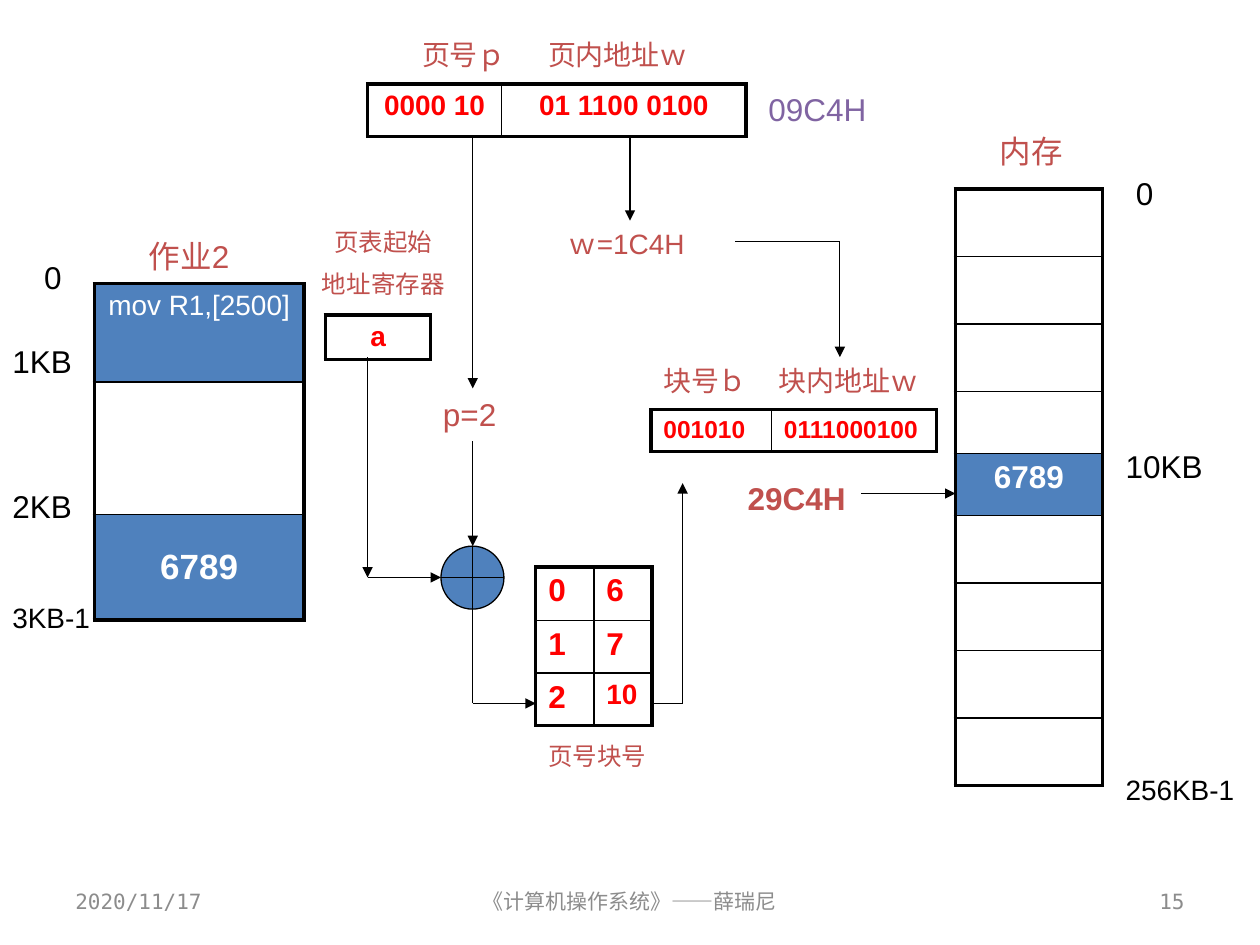
"""Build the slide on translating a paged logical address into a memory address."""
from itertools import pairwise
from typing import NamedTuple

from lxml.etree import SubElement
from pptx import Presentation
from pptx.dml.color import RGBColor
from pptx.enum.shapes import MSO_CONNECTOR as Connector, MSO_SHAPE as Preset
from pptx.enum.text import MSO_ANCHOR as Anchor, MSO_AUTO_SIZE as AutoSize, PP_ALIGN as Align
from pptx.oxml.ns import qn
from pptx.util import Cm, Pt

COLORS = {
    "black": "000000",
    "white": "FFFFFF",
    "red": "FF0000",
    "brick": "C0504D",
    "purple": "8064A2",
    "blue": "4F81BD",
    "gray": "8C8C8C",
}
OUTER, INNER, THIN = 2.25, 1, 0.75


class Cell(NamedTuple):
    text: str = ""
    size: int = 18
    color: str = "red"
    bold: bool = True
    align: Align = Align.CENTER
    fill: str = ""
    anchor: Anchor = Anchor.TOP


class Grid(NamedTuple):
    left: float
    top: float
    widths: list[float]
    heights: list[float]
    rows: list[list[Cell]]


class Label(NamedTuple):
    left: float
    top: float
    width: float
    height: float
    lines: list[str]
    size: int = 18
    color: str = "brick"
    bold: bool = False
    align: Align = Align.LEFT
    wrap: bool = True


class Footer(NamedTuple):
    left: float
    width: float
    text: str
    align: Align


class Route(NamedTuple):
    points: list[tuple[float, float]]
    arrow: bool = True


def left_cell(text: str, size: int = 18) -> Cell:
    """Return a left-aligned red cell."""
    return Cell(text, size, align=Align.LEFT)


GRIDS = [
    Grid(7.41, 1.69, [2.7, 4.93], [1.06], [[Cell("0000 10", 16), Cell("01 1100 0100", 16)]]),
    Grid(1.9, 5.72, [4.23], [1.98, 2.67, 2.13], [
        [Cell("mov R1,[2500]", 16, "white", False, fill="blue")],
        [Cell()],
        [Cell("6789", 20, "white", fill="blue", anchor=Anchor.MIDDLE)],
    ]),
    Grid(6.56, 6.35, [2.12], [0.9], [[Cell("a", 16)]]),
    Grid(10.8, 11.43, [1.17] * 2, [1.08, 1.06, 1.06], [
        [left_cell("0"), left_cell("6")],
        [left_cell("1"), left_cell("7")],
        [left_cell("2"), left_cell("10", 16)],
    ]),
    Grid(19.26, 3.81, [2.96], [1.36] * 3 + [1.25] * 2 + [1.36] * 4,
         [[Cell()]] * 4 + [[Cell("6789", 18, "white", fill="blue")]] + [[Cell()]] * 4),
    Grid(13.12, 8.26, [2.43, 3.33], [0.84],
         [[left_cell("001010", 14), left_cell("0111000100", 14)]]),
]

LABELS = [
    Label(6.14, 4.45, 3.18, 1.75, ["页表起始", "地址寄存器"], 14, align=Align.CENTER),
    Label(8.26, 0.64, 2.33, 0.94, ["页号ｐ"], 16),
    Label(10.8, 0.64, 4.23, 0.94, ["页内地址ｗ"], 16),
    Label(13.12, 7.2, 2.75, 0.94, ["块号ｂ"], 16),
    Label(15.45, 7.2, 3.6, 0.94, ["块内地址ｗ"], 16),
    Label(10.8, 14.82, 4.23, 0.85, ["页号块号"], 14),
    Label(11.22, 4.45, 3.28, 0.94, ["ｗ=1C4H"], 16),
    Label(19.9, 2.54, 2.12, 1.02, ["内存"]),
    Label(8.68, 7.83, 1.9, 1.02, ["p=2"]),
    Label(2.75, 4.66, 2.54, 1.02, ["作业2"]),
    Label(14.82, 9.53, 2.54, 1.02, ["29C4H"], bold=True),
    Label(15.24, 1.69, 2.75, 1.02, ["09C4H"], color="purple"),
    Label(22.65, 3.39, 0.86, 1.02, ["0"], color="black", wrap=False),
    Label(22.44, 8.89, 2.33, 1.02, ["10KB"], color="black"),
    Label(22.44, 15.45, 2.96, 0.94, ["256KB-1"], 16, "black"),
    Label(0.64, 5.08, 1.06, 1.02, ["0"], color="black"),
    Label(0, 6.77, 2.12, 1.02, ["1KB"], color="black"),
    Label(0, 9.7, 2.33, 1.02, ["2KB"], color="black"),
    Label(0, 11.98, 2.12, 0.94, ["3KB-1"], 16, "black"),
]

FOOTERS = [
    Footer(1.27, 5.93, "2020/11/17", Align.LEFT),
    Footer(8.68, 8.04, "《计算机操作系统》——薛瑞尼", Align.CENTER),
    Footer(18.2, 5.93, "15", Align.RIGHT),
]

ROUTES = [
    Route([(12.7, 2.75), (12.7, 4.45)]),
    Route([(14.82, 4.87), (16.93, 4.87), (16.93, 7.2)]),
    Route([(13.12, 14.18), (13.76, 14.18), (13.76, 9.74)]),
    Route([(9.53, 12.28), (9.53, 14.18), (10.8, 14.18)]),
    Route([(9.53, 2.75), (9.53, 7.83)]),
    Route([(9.53, 8.89), (9.53, 11.01)]),
    Route([(7.41, 7.2), (7.41, 11.64)]),
    Route([(7.41, 11.64), (8.89, 11.64)]),
    Route([(17.36, 9.95), (19.26, 9.95)]),
]


def rgb(name: str) -> RGBColor:
    """Look up a named colour."""
    return RGBColor.from_string(COLORS[name])


def add_run(paragraph, text: str, size: int, color: str, bold: bool = False,
            font_name: str = "Arial") -> None:
    """Add one formatted run."""
    run = paragraph.add_run()
    run.text = text
    run.font.name = font_name
    run.font.size = Pt(size)
    run.font.bold = bold
    run.font.color.rgb = rgb(color)


def add_border(cell, side: str, width: float) -> None:
    """Add a black border to one side of a cell."""
    line = SubElement(cell._tc.get_or_add_tcPr(), qn(f"a:ln{side}"), w=str(Pt(width)))
    fill = SubElement(line, qn("a:solidFill"))
    SubElement(fill, qn("a:srgbClr"), val=COLORS["black"])


def draw_grid(slide, grid: Grid) -> None:
    """Draw a table with a thick frame and thin inner rules."""
    row_count, column_count = len(grid.heights), len(grid.widths)
    table = slide.shapes.add_table(
        row_count, column_count, Cm(grid.left), Cm(grid.top),
        Cm(sum(grid.widths)), Cm(sum(grid.heights))).table
    table.first_row = table.horz_banding = False
    for column, width in zip(table.columns, grid.widths):
        column.width = Cm(width)
    for r, (row, height) in enumerate(zip(grid.rows, grid.heights)):
        table.rows[r].height = Cm(height)
        for c, content in enumerate(row):
            cell = table.cell(r, c)
            on_frame = {"L": c == 0, "R": c == column_count - 1,
                        "T": r == 0, "B": r == row_count - 1}
            for side, outside in on_frame.items():
                add_border(cell, side, OUTER if outside else INNER)
            if content.fill:
                cell.fill.solid()
                cell.fill.fore_color.rgb = rgb(content.fill)
            else:
                cell.fill.background()
            cell.vertical_anchor = content.anchor
            if content.text:
                paragraph = cell.text_frame.paragraphs[0]
                paragraph.alignment = content.align
                add_run(paragraph, content.text, content.size, content.color, content.bold)


def draw_label(slide, label: Label) -> None:
    """Draw a text box with one paragraph per line."""
    box = slide.shapes.add_textbox(
        Cm(label.left), Cm(label.top), Cm(label.width), Cm(label.height))
    frame = box.text_frame
    frame.word_wrap = label.wrap
    frame.auto_size = AutoSize.SHAPE_TO_FIT_TEXT
    for index, line in enumerate(label.lines):
        paragraph = frame.add_paragraph() if index else frame.paragraphs[0]
        paragraph.alignment = label.align
        if index:
            paragraph.space_before = Pt(label.size / 2)
        add_run(paragraph, line, label.size, label.color, label.bold)


def draw_footer(slide, footer: Footer) -> None:
    """Draw one part of the footer line."""
    frame = slide.shapes.add_textbox(
        Cm(footer.left), Cm(17.65), Cm(footer.width), Cm(1.02)).text_frame
    frame.word_wrap = True
    frame.vertical_anchor = Anchor.MIDDLE
    frame.paragraphs[0].alignment = footer.align
    add_run(frame.paragraphs[0], footer.text, 12, "gray", font_name="DejaVu Sans Mono")


def draw_route(slide, route: Route) -> None:
    """Draw a chain of straight connectors with an arrowhead at its end."""
    for start, end in pairwise(route.points):
        connector = slide.shapes.add_connector(
            Connector.STRAIGHT, *(Cm(value) for value in start + end))
        connector.line.color.rgb = rgb("black")
        connector.line.width = Pt(THIN)
        if route.arrow and end == route.points[-1]:
            SubElement(connector.line._get_or_add_ln(), qn("a:tailEnd"), type="triangle")
        SubElement(connector._element.spPr, qn("a:effectLst"))


def draw_adder(slide) -> None:
    """Draw the circle that adds the table start to the page number."""
    adder = slide.shapes.add_shape(
        Preset.FLOWCHART_OR, Cm(8.89), Cm(11.01), Cm(1.27), Cm(1.27))
    adder.shadow.inherit = False
    adder.fill.solid()
    adder.fill.fore_color.rgb = rgb("blue")
    adder.line.color.rgb = rgb("black")
    adder.line.width = Pt(THIN)


def main() -> None:
    """Build and save the presentation."""
    presentation = Presentation()
    presentation.slide_width, presentation.slide_height = Cm(25.4), Cm(19.05)
    slide = presentation.slides.add_slide(presentation.slide_layouts[6])
    for grid in GRIDS:
        draw_grid(slide, grid)
    for label in LABELS:
        draw_label(slide, label)
    draw_adder(slide)
    for route in ROUTES:
        draw_route(slide, route)
    for footer in FOOTERS:
        draw_footer(slide, footer)
    presentation.save("out.pptx")


if __name__ == "__main__":
    main()
